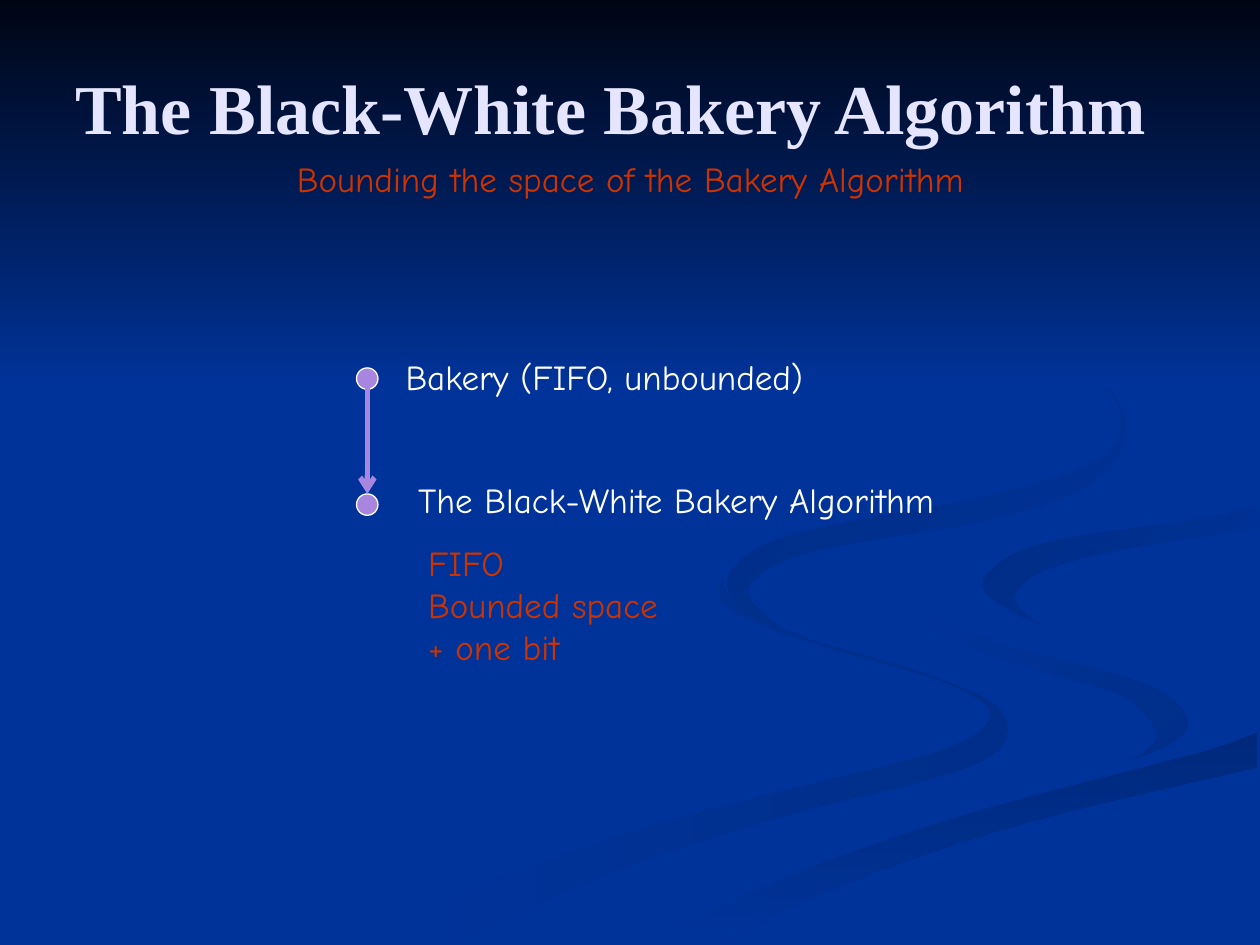
from lxml import etree
from pptx import Presentation
from pptx.dml.color import RGBColor
from pptx.enum.shapes import MSO_CONNECTOR as Connector, MSO_SHAPE as Preset
from pptx.enum.text import MSO_ANCHOR as Anchor, PP_ALIGN as Align
from pptx.oxml.ns import qn
from pptx.util import Inches, Pt

BLUE, LILAC, WHITE, RED, PALE = "003399", "A886E0", "FFFFFF", "CC3300", "E5E5FF"

# Each ribbon lies between two curved edges, given by a few knots in inches
LONG_LEFT = [(5.75, 4.59), (5.7, 4.72), (5.93, 4.91), (6.54, 5.13), (7.14, 5.3),
             (7.62, 5.47), (7.86, 5.66), (7.67, 5.87), (7.14, 6.05), (6.16, 6.29),
             (4.99, 6.61), (3.76, 7.07), (3, 7.49)]
LONG_RIGHT = [(5.75, 4.59), (5.76, 4.69), (5.94, 4.85), (6.42, 5.07), (7.15, 5.28),
              (7.67, 5.47), (7.92, 5.61), (8, 5.81), (7.86, 6.01), (7.4, 6.18),
              (6.51, 6.4), (5.64, 6.65), (4.66, 7), (3.61, 7.49)]
SHORT_OUTER = [(7.24, 4.64), (7.33, 4.83), (7.58, 4.98), (8.11, 5.15), (8.7, 5.3),
               (9.19, 5.47), (9.43, 5.7), (9.32, 5.89), (8.94, 6.05)]
SHORT_INNER = [(7.24, 4.64), (7.33, 4.88), (7.66, 5.12), (8.38, 5.36), (8.92, 5.53),
               (9.18, 5.81), (9.07, 5.97), (8.94, 6.05)]
LOW_TOP = [(5.03, 7.49), (5.43, 7.33), (6.3, 6.93), (7.64, 6.47), (9.03, 6.1),
           (9.63, 5.94), (9.98, 5.81)]
LOW_BOTTOM = [(5.71, 7.49), (6.14, 7.26), (6.95, 6.92), (8.21, 6.51), (9.98, 6.09)]
RIGHT_OUTER = [(8.26, 4.96), (7.91, 4.78), (7.81, 4.6), (8.1, 4.37), (8.65, 4.24),
               (9.33, 4.15), (9.98, 4.02)]
RIGHT_INNER = [(8.26, 4.96), (8.05, 4.76), (8.28, 4.53), (8.96, 4.35), (9.98, 4.2)]
HOOK_OUTER = [(7.62, 2.33), (7.99, 2.5), (8.54, 2.83), (8.86, 3.16), (8.94, 3.44),
              (8.76, 3.78), (8.25, 4.02), (7.64, 4.17), (6.83, 4.3), (6.24, 4.44),
              (5.93, 4.7), (6.22, 5)]
HOOK_INNER = [(7.62, 2.33), (8.26, 2.66), (8.76, 3.06), (8.89, 3.35), (8.7, 3.65),
              (7.91, 3.92), (6.76, 4.14), (6.05, 4.33), (5.77, 4.62), (5.96, 4.88),
              (6.22, 5)]

# The plain band fills the room between the ribbons, so it borrows their edges
BAND_TAIL = [(8.94, 6.05), (8.13, 6.25), (7.04, 6.55), (5.73, 7.03), (4.77, 7.49)]
BAND_RIGHT = [(9.98, 5.38), (9.04, 5.19), (8.32, 4.98), (7.94, 4.8), (7.81, 4.6)]
BAND_TOP = [(9.98, 3.87), (9.2, 4.01), (8.3, 4.15), (7.55, 4.32), (7.24, 4.64)]
PLAIN_BAND = [SHORT_OUTER + BAND_TAIL[1:], LOW_TOP, BAND_RIGHT, RIGHT_OUTER[2:], BAND_TOP]


def color(hex_string):
    return RGBColor.from_string(hex_string)


def smooth(knots, steps=4):
    """Points of a Catmull-Rom curve that runs through all the knots."""
    padded = [knots[0], *knots, knots[-1]]
    points = []
    for before, start, end, after in zip(padded, padded[1:], padded[2:], padded[3:]):
        for t in (step / steps for step in range(steps)):
            points.append(tuple(
                b + ((c - a) * t + (2 * a - 5 * b + 4 * c - d) * t ** 2
                     + (3 * b - a - 3 * c + d) * t ** 3) / 2
                for a, b, c, d in zip(before, start, end, after)))
    return points + [knots[-1]]


class SlideBuilder:
    """Holds the text style and the current slide."""

    font_name = "Comic Neue"
    font_size = 20

    def __init__(self, slide):
        self.slide = slide

    def background(self, hex_string):
        fill = self.slide.background.fill
        fill.solid()
        fill.fore_color.rgb = color(hex_string)

    def paint(self, shape, hex_string):
        shape.shadow.inherit = False
        shape.fill.solid()
        shape.fill.fore_color.rgb = color(hex_string)

    def gradient(self, shape, hex_strings, angle):
        """Two-colour gradient; the angle runs clockwise."""
        shape.fill.gradient()
        shape.fill.gradient_angle = 360 - angle
        for position, (stop, hex_string) in enumerate(
                zip(shape.fill.gradient_stops, hex_strings)):
            stop.position = position
            stop.color.rgb = color(hex_string)

    def curved_area(self, edges):
        """Area enclosed by curved edges that follow one another."""
        points = [(Inches(x), Inches(y)) for edge in edges for x, y in smooth(edge)]
        builder = self.slide.shapes.build_freeform(*points[0])
        builder.add_line_segments(points[1:], close=True)
        shape = builder.convert_to_shape()
        self.paint(shape, BLUE)
        shape.line.fill.background()
        return shape

    def ribbon(self, edge, opposite_edge, hex_strings, angle):
        shape = self.curved_area([edge, opposite_edge[::-1]])
        self.gradient(shape, hex_strings, angle)

    def top_shade(self, height):
        shape = self.slide.shapes.add_shape(Preset.RECTANGLE, 0, 0, Inches(10), Inches(height))
        self.paint(shape, BLUE)
        self.gradient(shape, ("000514", BLUE), 90)
        shape.line.fill.background()

    def text(self, box, lines, hex_string, size=None, font=None, bold=False,
             align=Align.LEFT, anchor=Anchor.TOP):
        frame = self.slide.shapes.add_textbox(*map(Inches, box)).text_frame
        frame.word_wrap = True
        frame.vertical_anchor = anchor
        for index, line in enumerate(lines):
            paragraph = frame.add_paragraph() if index else frame.paragraphs[0]
            paragraph.alignment = align
            run = paragraph.add_run()
            run.text = line
            run.font.name = font or self.font_name
            run.font.size = Pt(size or self.font_size)
            run.font.bold = bold
            run.font.color.rgb = color(hex_string)

    def dot(self, left, top, diameter=0.17):
        shape = self.slide.shapes.add_shape(
            Preset.OVAL, *map(Inches, (left, top, diameter, diameter)))
        self.paint(shape, LILAC)
        shape.line.color.rgb = color(WHITE)
        shape.line.width = Pt(0.75)
        return shape

    def arrow(self, source, target):
        """Arrow from the centre of one dot down to the top of the next."""
        x = source.left + source.width // 2
        y = source.top + source.height // 2
        connector = self.slide.shapes.add_connector(Connector.STRAIGHT, x, y, x, target.top)
        connector.end_connect(target, 0)
        connector.line.color.rgb = color(LILAC)
        connector.line.width = Pt(3)
        etree.SubElement(connector.line._get_or_add_ln(), qn("a:tailEnd"), type="arrow")
        etree.SubElement(connector._element.spPr, qn("a:effectLst"))


def main():
    presentation = Presentation()
    presentation.slide_width, presentation.slide_height = Inches(10), Inches(7.5)
    builder = SlideBuilder(presentation.slides.add_slide(presentation.slide_layouts[6]))

    # Background, from back to front
    builder.background(BLUE)
    builder.ribbon(LONG_LEFT, LONG_RIGHT, ("002E8A", BLUE), 180)
    builder.ribbon(SHORT_OUTER, SHORT_INNER, ("002E8A", BLUE), 225)
    builder.ribbon(LOW_TOP, LOW_BOTTOM, ("00297C", BLUE), 90)
    builder.curved_area(PLAIN_BAND)
    builder.ribbon(RIGHT_OUTER, RIGHT_INNER, (BLUE, "002C85"), 225)
    builder.ribbon(HOOK_OUTER, HOOK_INNER, (BLUE, "002B81"), 225)
    builder.top_shade(3.08)

    # Headings
    builder.text((0.5, 0.3, 9, 1.09), ["The Black-White Bakery Algorithm"], PALE, size=40,
                 font="Times New Roman", bold=True, anchor=Anchor.MIDDLE)
    builder.text((1.9, 1.24, 6.21, 0.36), ["Bounding the space of the Bakery Algorithm"], RED,
                 align=Align.CENTER, anchor=Anchor.MIDDLE)

    # From the Bakery to the Black-White Bakery
    unbounded_dot, bounded_dot = [builder.dot(2.83, top) for top in (2.92, 3.92)]
    builder.arrow(unbounded_dot, bounded_dot)
    builder.text((3.12, 2.77, 3.45, 0.44), ["Bakery (FIFO, unbounded)"], WHITE)
    builder.text((3.22, 3.75, 4.4, 0.44), ["The Black-White Bakery Algorithm"], WHITE)
    builder.text((3.3, 4.25, 2.1, 1.1), ["FIFO", "Bounded space", "+ one bit"], RED)

    presentation.save("out.pptx")


if __name__ == "__main__":
    main()
